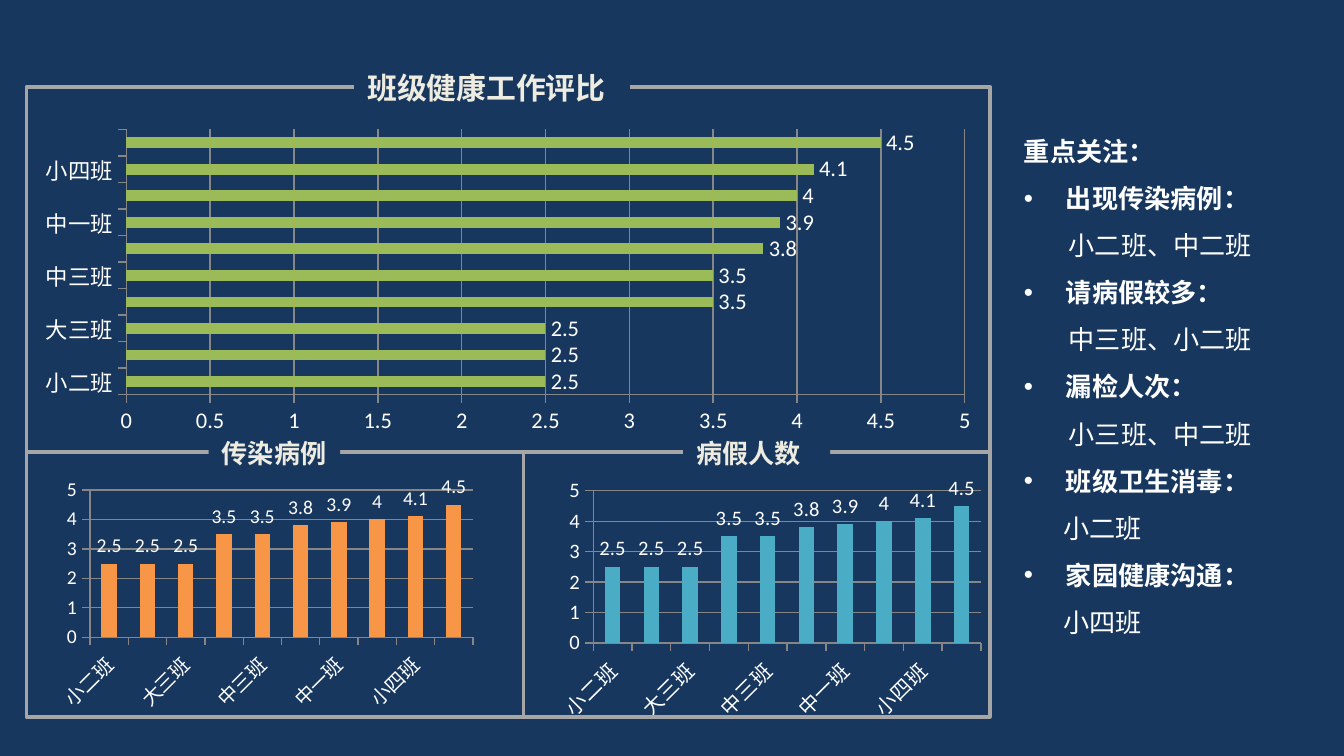
from lxml.etree import SubElement
from pptx import Presentation
from pptx.chart.data import CategoryChartData
from pptx.dml.color import RGBColor
from pptx.enum.chart import XL_CHART_TYPE, XL_LABEL_POSITION, XL_TICK_MARK
from pptx.enum.shapes import MSO_SHAPE
from pptx.oxml.ns import qn
from pptx.util import Emu, Pt

PX = 9525  # 96 px to the inch
WIDTH, HEIGHT = 960, 540
NAVY, WHITE, CREAM = "17375E", "FFFFFF", "EEECE1"
FRAME_GREY, AXIS_GREY = "A6A6A6", "868686"
HEADING_FONT, CHART_FONT = "Noto Sans CJK SC", "Calibri"

SCORES = {
    "小二班": 2.5, "中二班": 2.5, "大三班": 2.5, "小三班": 3.5, "中三班": 3.5,
    "小一班": 3.8, "中一班": 3.9, "大二班": 4, "小四班": 4.1, "大一班": 4.5,
}
# heading, classes, indent of the classes
CONCERNS = [
    ("出现传染病例：", "小二班、中二班", 32),
    ("请病假较多：", "中三班、小二班", 32),
    ("漏检人次：", "小三班、中二班", 32),
    ("班级卫生消毒：", "小二班", 28),
    ("家园健康沟通：", "小四班", 28),
]


def px(*lengths):
    return [Emu(length * PX) for length in lengths]


def rgb(color):
    return RGBColor.from_string(color)


def style_paragraph(paragraph, size, color, bold=True):
    font = paragraph.font
    font.name, font.size, font.bold = HEADING_FONT, Pt(size), bold
    font.color.rgb = rgb(color)
    defaults = paragraph._p.pPr.find(qn("a:defRPr"))
    SubElement(defaults, qn("a:ea"), typeface=HEADING_FONT)


def add_rectangle(slide, box, fill=None, line=None):
    rectangle = slide.shapes.add_shape(MSO_SHAPE.RECTANGLE, *px(*box))
    rectangle.shadow.inherit = False
    if fill:
        rectangle.fill.solid()
        rectangle.fill.fore_color.rgb = rgb(fill)
    else:
        rectangle.fill.background()
    if line:
        rectangle.line.color.rgb = rgb(line)
        rectangle.line.width = Pt(2)
    else:
        rectangle.line.fill.background()


def add_frame_title(slide, box, text, size):
    """Add a title whose fill interrupts the frame line behind it."""
    title = slide.shapes.add_textbox(*px(*box))
    title.fill.solid()
    title.fill.fore_color.rgb = rgb(NAVY)
    title.text_frame.word_wrap = True
    paragraph = title.text_frame.paragraphs[0]
    paragraph.text = text
    style_paragraph(paragraph, size, CREAM)


def add_score_chart(slide, box, kind, color, size, unit):
    data = CategoryChartData()
    data.categories = list(SCORES)
    data.add_series("Series 1", list(SCORES.values()))
    chart = slide.shapes.add_chart(kind, *px(*box), data).chart
    chart.has_legend = chart.has_title = False
    chart.font.name, chart.font.size = CHART_FONT, Pt(size)
    chart.font.color.rgb = rgb(WHITE)

    plot = chart.plots[0]
    plot.gap_width, plot.vary_by_categories = 150, False
    plot.has_data_labels = True
    plot.data_labels.show_value = True
    plot.data_labels.position = XL_LABEL_POSITION.OUTSIDE_END
    bars = plot.series[0].format.fill
    bars.solid()
    bars.fore_color.rgb = rgb(color)

    scale = chart.value_axis
    scale.minimum_scale, scale.maximum_scale, scale.major_unit = 0, 5, unit
    scale.has_major_gridlines = True
    scale.major_gridlines.format.line.color.rgb = rgb(AXIS_GREY)
    for axis in (chart.category_axis, scale):
        axis.major_tick_mark = XL_TICK_MARK.OUTSIDE
        axis.format.line.color.rgb = rgb(AXIS_GREY)


def add_concerns(slide, box):
    frame = slide.shapes.add_textbox(*px(*box)).text_frame
    frame.word_wrap = True

    def add_line(paragraph, text, bold=True, margin=0, indent=0, bullet=False):
        paragraph.text = text
        paragraph.line_spacing = 1.5
        properties = paragraph._p.get_or_add_pPr()
        properties.set("marL", str(margin * PX))
        properties.set("indent", str(indent * PX))
        if bullet:
            SubElement(properties, qn("a:buFont"), typeface="Arial")
            SubElement(properties, qn("a:buChar"), char="•")
        style_paragraph(paragraph, 14, WHITE, bold)

    add_line(frame.paragraphs[0], "重点关注：")
    for heading, classes, indent in CONCERNS:
        add_line(frame.add_paragraph(), heading, margin=30, indent=-30, bullet=True)
        add_line(frame.add_paragraph(), classes, bold=False, indent=indent)


def main():
    presentation = Presentation()
    presentation.slide_width, presentation.slide_height = px(WIDTH, HEIGHT)
    slide = presentation.slides.add_slide(presentation.slide_layouts[6])

    add_rectangle(slide, (0, 0, WIDTH, HEIGHT), fill=NAVY)
    column = XL_CHART_TYPE.COLUMN_CLUSTERED
    add_score_chart(slide, (19, 88, 688, 227), XL_CHART_TYPE.BAR_CLUSTERED, "9BBB59", 12, 0.5)
    add_concerns(slide, (722, 81, 197, 417))
    add_score_chart(slide, (35, 338, 309, 174), column, "F79646", 10.5, 1)
    add_score_chart(slide, (392, 338, 315, 181), column, "4BACC6", 11, 1)

    for frame in ((19, 62, 688, 261), (19, 323, 355, 189), (374, 323, 333, 189)):
        add_rectangle(slide, frame, line=FRAME_GREY)
    add_frame_title(slide, (253, 45, 197, 36), "班级健康工作评比", 16)
    add_frame_title(slide, (488, 308, 105, 33), "病假人数", 14)
    add_frame_title(slide, (149, 308, 94, 33), "传染病例", 14)

    presentation.save("out.pptx")


if __name__ == "__main__":
    main()
